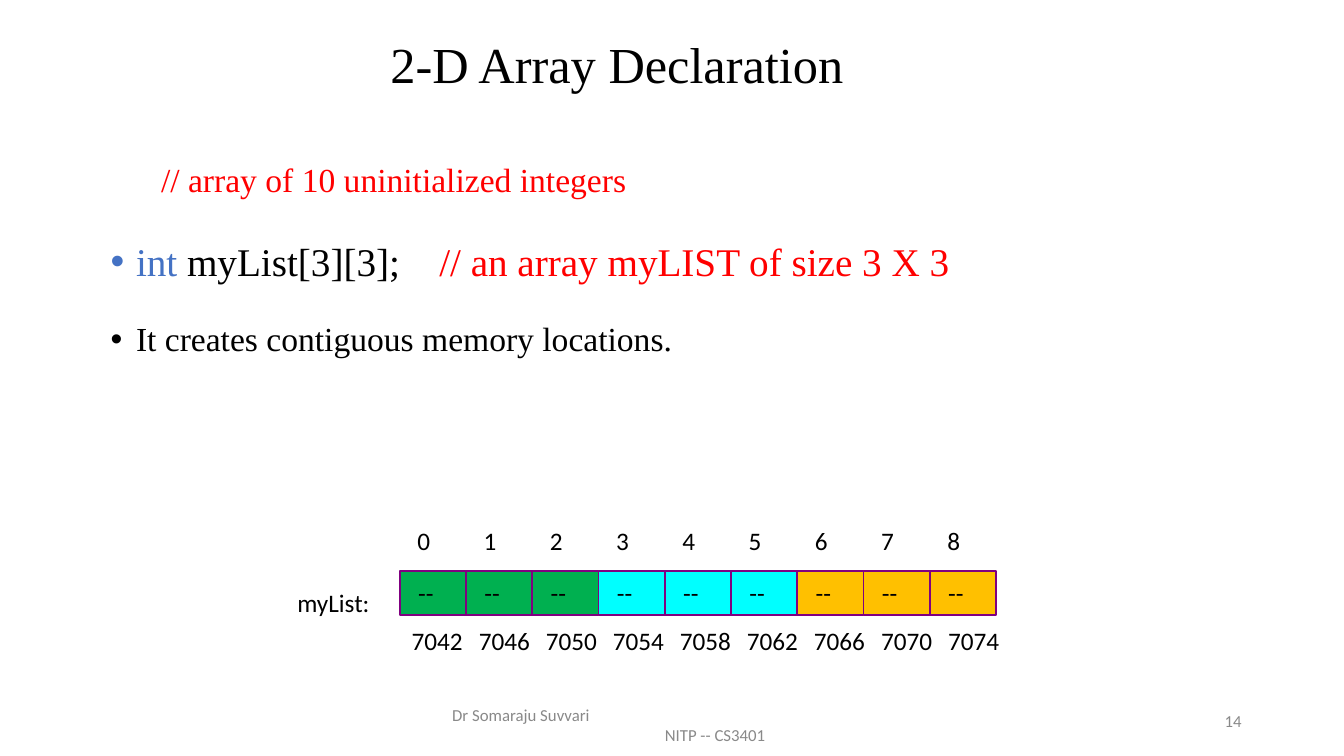
from dataclasses import dataclass
from typing import NamedTuple

from lxml.etree import SubElement
from pptx import Presentation
from pptx.dml.color import RGBColor
from pptx.enum.shapes import MSO_SHAPE as Shape
from pptx.enum.text import MSO_ANCHOR as Anchor, PP_ALIGN as Align
from pptx.oxml.ns import qn
from pptx.util import Cm, Pt


@dataclass(frozen=True)
class Theme:
    serif: str = "Times New Roman"
    sans: str = "Calibri"
    ink: str = "000000"
    comment: str = "FF0000"
    keyword: str = "4472C4"
    muted: str = "898989"
    cell_line: str = "800080"
    array_rows: tuple = ("00B050", "00FFFF", "FFC000")
    title: int = 36
    code: int = 28
    body: int = 24
    label: int = 18
    footer: int = 12


THEME = Theme()


class Box(NamedTuple):
    left: float
    top: float
    width: float
    height: float

    def lengths(self):
        return [Cm(side) for side in self]


def apply_format(target, values):
    for name, value in values.items():
        setattr(target, name, value)


def format_frame(frame, side=0, end=0, anchor=Anchor.TOP):
    apply_format(frame, {
        "word_wrap": True, "vertical_anchor": anchor,
        "margin_left": Cm(side), "margin_right": Cm(side + end),
        "margin_top": Cm(side / 2), "margin_bottom": Cm(side / 2),
    })
    return frame


def add_frame(slide, box, side=0, anchor=Anchor.TOP):
    return format_frame(slide.shapes.add_textbox(*box.lengths()).text_frame, side, 0, anchor)


def write(paragraph, text, size, color=THEME.ink, face=THEME.sans, **layout):
    apply_format(paragraph, layout)
    run = paragraph.add_run()
    run.text = text
    apply_format(run.font, {"size": Pt(size), "name": face})
    run.font.color.rgb = RGBColor.from_string(color)
    return run


def set_indent(paragraph, margin, first=0.0):
    properties = paragraph._p.get_or_add_pPr()
    properties.set("marL", str(Cm(margin)))
    properties.set("indent", str(Cm(first)))
    return properties


def add_bullet(properties, color):
    SubElement(SubElement(properties, qn("a:buClr")), qn("a:srgbClr")).set("val", color)
    SubElement(properties, qn("a:buFont")).set("typeface", "Arial")
    SubElement(properties, qn("a:buChar")).set("char", "•")


def add_title(slide, box):
    heading = add_frame(slide, box, 0.25, Anchor.MIDDLE).paragraphs[0]
    write(heading, "2-D Array Declaration", THEME.title, face=THEME.serif,
          alignment=Align.CENTER, line_spacing=0.9)


def add_declaration(slide, box):
    frame = add_frame(slide, box, 0.25)
    lines = [
        (1.91, 5, None, THEME.body,
         [("// array of 10 uninitialized integers", THEME.comment, 0)]),
        (0.64, 10, THEME.keyword, THEME.code,
         [("int", THEME.keyword, 0), (" myList[3][3];", THEME.ink, 0),
          (" ", THEME.ink, 21), ("// an array myLIST of size 3 X 3", THEME.comment, 0)]),
        (0.64, 10, THEME.ink, THEME.body,
         [("It creates contiguous memory locations.", THEME.ink, 0)]),
    ]
    for number, (margin, before, bullet, size, pieces) in enumerate(lines):
        line = frame.add_paragraph() if number else frame.paragraphs[0]
        for text, color, tracking in pieces:
            piece = write(line, text, size, color, THEME.serif,
                          line_spacing=1.5, space_before=Pt(before))
            if tracking:
                piece._r.get_or_add_rPr().set("spc", str(tracking * 100))
        properties = set_indent(line, margin, -0.64)
        if bullet:
            add_bullet(properties, bullet)


def add_cell(slide, box, fill):
    cell = slide.shapes.add_shape(Shape.RECTANGLE, *box.lengths())
    cell.shadow.inherit = False
    cell.fill.solid()
    cell.fill.fore_color.rgb = RGBColor.from_string(fill)
    cell.line.color.rgb = RGBColor.from_string(THEME.cell_line)
    cell.line.width = Pt(1.25)
    content = format_frame(cell.text_frame, end=0.36, anchor=Anchor.MIDDLE)
    write(content.paragraphs[0], "--", THEME.label, alignment=Align.CENTER)


def add_memory(slide, box):
    label_height, address_pitch = 0.76, 1.69
    columns = len(THEME.array_rows) ** 2
    pitch = box.width / columns

    def add_label(text, left, top, width, alignment):
        label = add_frame(slide, Box(left, top, width, label_height))
        write(label.paragraphs[0], text, THEME.label, alignment=alignment)

    add_label("myList:", box.left - 2.69, box.top + 0.43, 2.03, Align.CENTER)
    for index in range(columns):
        left = box.left + index * pitch
        fill = THEME.array_rows[index // len(THEME.array_rows)]
        add_cell(slide, Box(left, box.top, pitch, box.height), fill)
        add_label(str(index), left - 0.23, box.top - 1.14, pitch, Align.CENTER)
        add_label(str(7042 + 4 * index), box.left + 0.3 + index * address_pitch,
                  box.top + 1.37, address_pitch, Align.LEFT)


def add_footer(slide, box):
    frame = add_frame(slide, box, 0.25, Anchor.MIDDLE)
    author, course = frame.paragraphs[0], frame.add_paragraph()
    for line, text, margin in ((author, "Dr Somaraju Suvvari", 0.08),
                               (course, "NITP -- CS3401", 5.44)):
        write(line, text, THEME.footer, THEME.muted)
        set_indent(line, margin)


def add_page_number(slide, box):
    page = add_frame(slide, box, 0.25, Anchor.MIDDLE).paragraphs[0]
    write(page, "14", THEME.footer, THEME.muted, alignment=Align.RIGHT)


def main():
    deck = Presentation()
    apply_format(deck, {"slide_width": Cm(33.88), "slide_height": Cm(19.05)})
    slide = deck.slides.add_slide(deck.slide_layouts[6])
    add_title(slide, Box(2.74, 0.43, 25.63, 2.54))
    add_declaration(slide, Box(2.54, 3.38, 29.9, 13.77))
    add_memory(slide, Box(10.08, 14.38, 15.03, 1.12))
    add_footer(slide, Box(11.07, 17.75, 11.43, 1.02))
    add_page_number(slide, Box(23.93, 17.65, 7.62, 1.02))
    deck.save("out.pptx")


if __name__ == "__main__":
    main()
